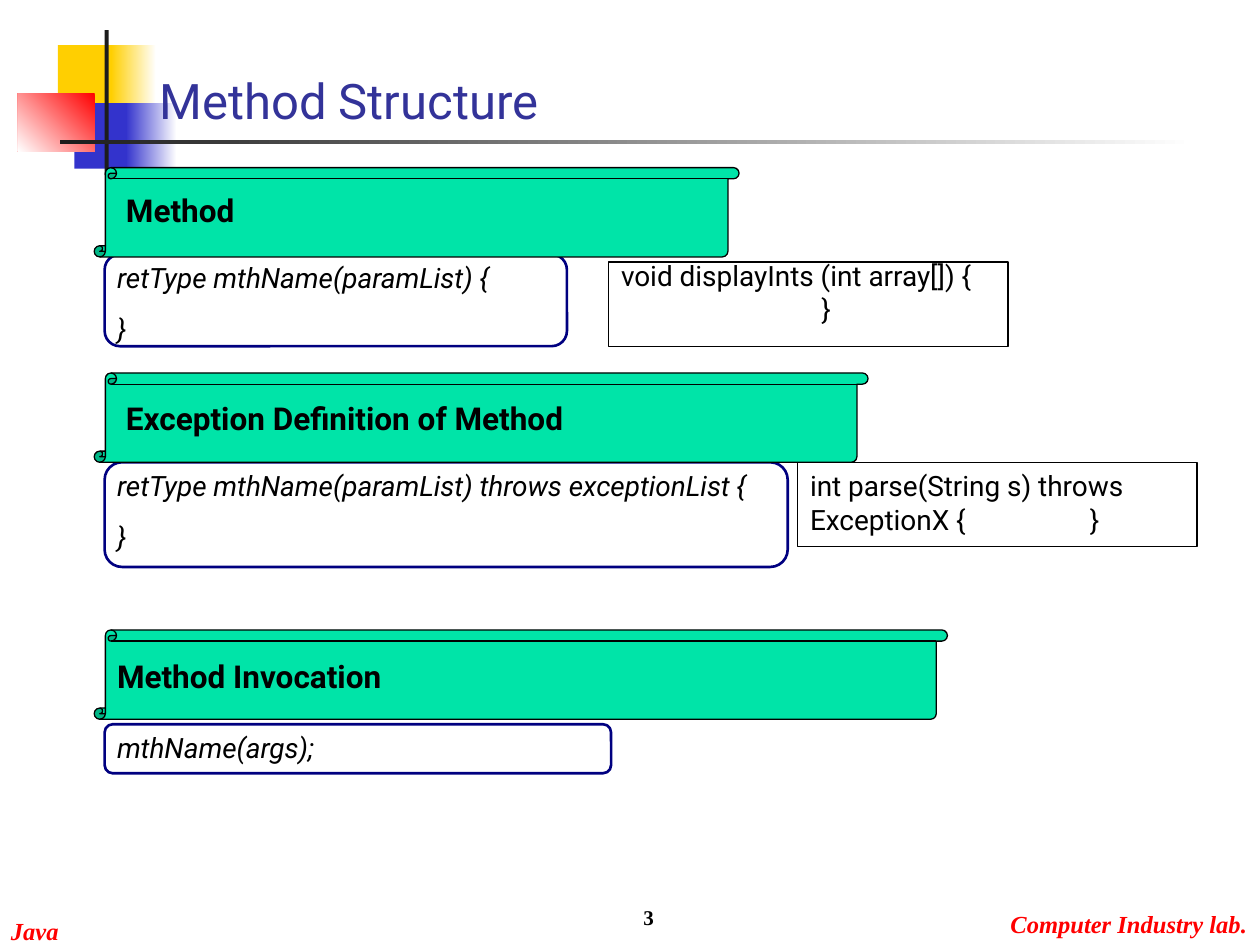
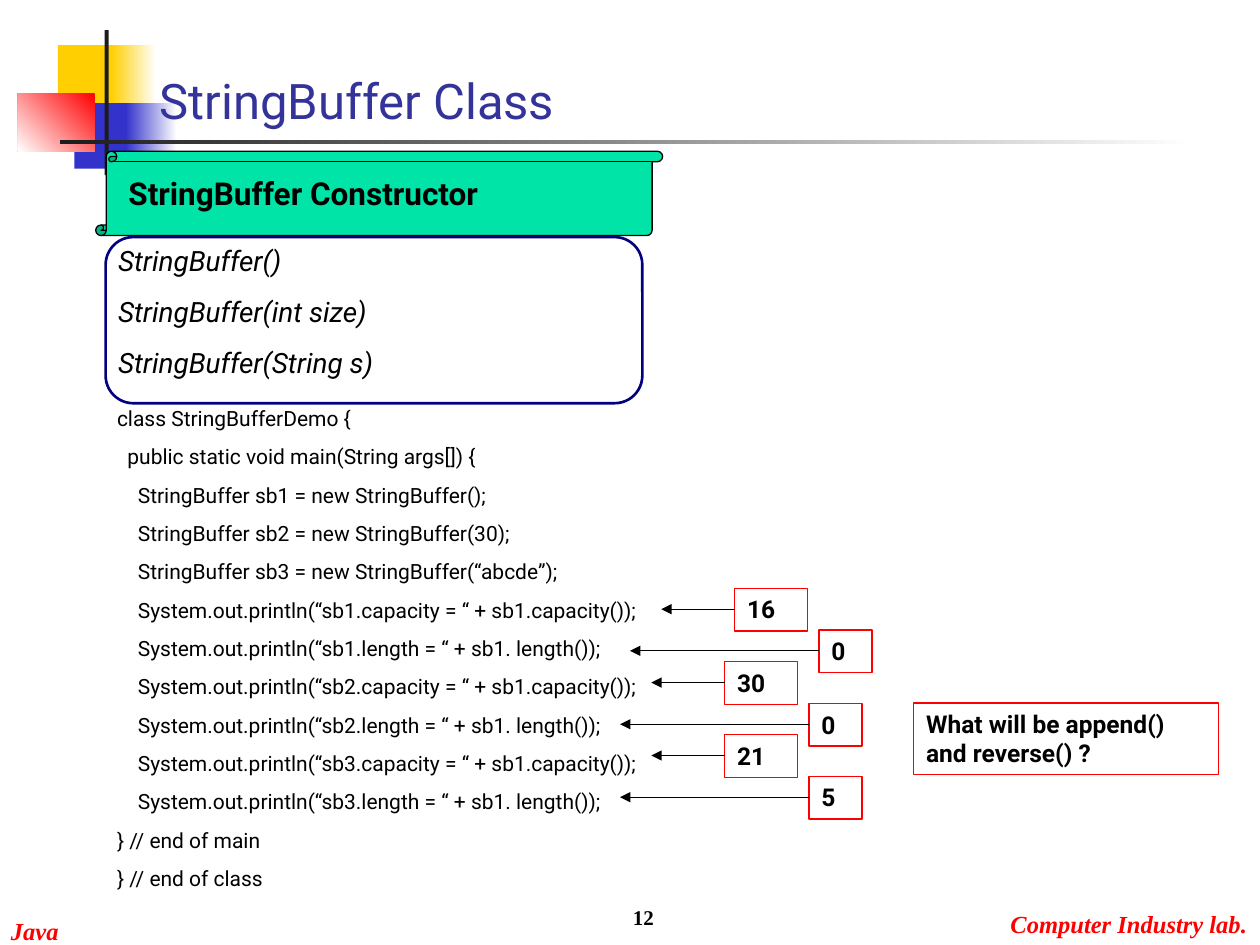
from dataclasses import dataclass

from lxml import etree
from pptx import Presentation
from pptx.dml.color import RGBColor
from pptx.enum.shapes import MSO_CONNECTOR as Connector, MSO_SHAPE as Shape
from pptx.enum.text import MSO_ANCHOR as Anchor, PP_ALIGN as Align
from pptx.oxml.ns import qn
from pptx.util import Cm, Pt


@dataclass(frozen=True)
class Theme:
    sans: str = "Roboto"
    serif: str = "Times New Roman"
    black: str = "000000"
    white: str = "FFFFFF"
    bar: str = "1C1C1C"
    yellow: str = "FFCF01"
    blue: str = "3333CC"
    red: str = "FF0000"
    navy: str = "000080"
    green: str = "00E4A8"
    title_color: str = "333399"
    title: int = 28
    heading: int = 18
    syntax: int = 16
    answer: int = 14
    listing: int = 12
    footer: int = 14
    page: int = 12


theme = Theme()
color = RGBColor.from_string


def place(slide, at, kind=Shape.RECTANGLE, fill=None, line=None, weight=0.75):
    """Add a shape at (left, top, width, height) in cm; a pair of fills is a gradient."""
    shape = slide.shapes.add_shape(kind, *map(Cm, at))
    shape.shadow.inherit = False
    if fill is None:
        shape.fill.background()
    elif isinstance(fill, tuple):
        shape.fill.gradient()
        for stop, shade in zip(shape.fill.gradient_stops, fill):
            stop.color.rgb = color(shade)
    else:
        shape.fill.solid()
        shape.fill.fore_color.rgb = color(fill)
    if line:
        shape.line.color.rgb = color(line)
        shape.line.width = Pt(weight)
    else:
        shape.line.fill.background()
    return shape


def write(shape, text, size, shade=theme.black, face=theme.sans, bold=False,
          italic=False, align=Align.LEFT, anchor=Anchor.TOP, gap=0, tab=None, wrap=True):
    """Fill a shape with text; gap is in points between paragraphs, tab a stop in cm."""
    frame = shape.text_frame
    frame.text = text
    frame.word_wrap = wrap
    frame.vertical_anchor = anchor
    for index, paragraph in enumerate(frame.paragraphs):
        paragraph.alignment = align
        paragraph.space_before = Pt(gap if index else 0)
        if tab:
            stops = etree.SubElement(paragraph._p.get_or_add_pPr(), qn("a:tabLst"))
            etree.SubElement(stops, qn("a:tab"), pos=str(Cm(tab)), algn="l")
        for run in paragraph.runs:
            run.font.name = face
            run.font.size = Pt(size)
            run.font.bold = bold
            run.font.italic = italic
            run.font.color.rgb = color(shade)


deck = Presentation()
deck.slide_width, deck.slide_height = Cm(25.4), Cm(19.05)

# Title, corner ornament and footers on every slide
ornament = [
    ((1.17, 0.91, 1.22, 1.32), theme.yellow, 0),
    ((2.24, 0.91, 0.91, 1.32), (theme.white, theme.yellow), 180),
    ((1.5, 2.08, 1.17, 1.32), theme.blue, 0),
    ((2.54, 2.08, 1.02, 1.32), (theme.white, theme.blue), 180),
    ((0.36, 1.88, 1.55, 1.17), (theme.red, theme.white), 225),
    ((2.11, 0.61, 0.08, 2.92), theme.bar, 0),
    ((1.22, 2.82, 22.86, 0.08), (theme.white, theme.bar), 180),
]
footers = [
    ("Java", (-0.03, 18.34, 1.47, 0.86)),
    ("Computer Industry lab.", (20.12, 18.21, 5.28, 0.86)),
]
slides = []
for title, page in [("Method Structure", "3"), ("StringBuffer Class", "12")]:
    slide = deck.slides.add_slide(deck.slide_layouts[6])
    slides.append(slide)
    for at, fill, angle in ornament:
        piece = place(slide, at, fill=fill)
        if angle:
            piece.fill.gradient_angle = angle
    for label, at in footers:
        write(slide.shapes.add_textbox(*map(Cm, at)), label, theme.footer, theme.red,
              theme.serif, bold=True, italic=True, wrap=False)
    write(slide.shapes.add_textbox(Cm(2.97), Cm(1.27), Cm(20.52), Cm(1.47)),
          title, theme.title, theme.title_color, anchor=Anchor.BOTTOM)
    write(slide.shapes.add_textbox(Cm(8.15), Cm(17.6), Cm(5.28), Cm(1.27)),
          page, theme.page, face=theme.serif, bold=True, align=Align.RIGHT,
          anchor=Anchor.BOTTOM)
method_slide, buffer_slide = slides

# Green scroll headings, each above a framed syntax summary
sections = [
    (method_slide, "Method", (1.9, 3.38, 13, 1.8), (2.29, 3.73),
     "retType mthName(paramList) {\n}", (2.11, 5.13, 9.32, 1.85)),
    (method_slide, "Exception Definition of Method", (1.9, 7.52, 15.6, 1.8), (2.29, 7.92),
     "retType mthName(paramList) throws exceptionList {\n}", (2.11, 9.32, 13.77, 2.11)),
    (method_slide, "Method Invocation", (1.9, 12.7, 17.2, 1.8), (2.11, 13.13),
     "mthName(args);", (2.11, 14.6, 10.21, 0.99)),
    (buffer_slide, "StringBuffer Constructor", (1.93, 3.05, 11.43, 1.7), (2.34, 3.38),
     "StringBuffer()\nStringBuffer(int size)\nStringBuffer(String s)",
     (2.13, 4.78, 10.82, 3.35)),
]
for slide, heading, scroll, heading_at, syntax, outline in sections:
    place(slide, outline, Shape.ROUNDED_RECTANGLE, line=theme.navy, weight=1.5)
    left, top, width, height = outline
    write(slide.shapes.add_textbox(Cm(left), Cm(top), Cm(width + 0.23), Cm(height)),
          syntax, theme.syntax, italic=True, gap=10)
    place(slide, scroll, Shape.VERTICAL_SCROLL, theme.green, theme.black)
    write(slide.shapes.add_textbox(*map(Cm, heading_at), Cm(scroll[2] - 0.6), Cm(1.02)),
          heading, theme.heading, bold=True)

# Examples beside the first two syntax frames
examples = [
    ("void displayInts (int array[]) {\n\t}", 12.27, 5.08, 5.28, 4.04),
    ("int parse(String s) throws ExceptionX {\t}", 16.08, 9.32, 9.32, 5.64),
]
for example, left, text_top, box_top, brace_at in examples:
    write(method_slide.shapes.add_textbox(Cm(left), Cm(text_top), Cm(8), Cm(1.63)),
          example, theme.syntax, tab=brace_at)
    place(method_slide, (left, box_top, 8.05, 1.7), line=theme.black)

# Demo program
demo = """class StringBufferDemo {
  public static void main(String args[]) {
    StringBuffer sb1 = new StringBuffer();
    StringBuffer sb2 = new StringBuffer(30);
    StringBuffer sb3 = new StringBuffer(“abcde”);
    System.out.println(“sb1.capacity = “ + sb1.capacity());
    System.out.println(“sb1.length = “ + sb1. length());
    System.out.println(“sb2.capacity = “ + sb1.capacity());
    System.out.println(“sb2.length = “ + sb1. length());
    System.out.println(“sb3.capacity = “ + sb1.capacity());
    System.out.println(“sb3.length = “ + sb1. length());
} // end of main
} // end of class"""
write(buffer_slide.shapes.add_textbox(Cm(2.11), Cm(8.05), Cm(19.89), Cm(10.03)),
      demo, theme.listing, gap=7.5)

# Printed results: the length sits right of and below its capacity
results = [(14.81, 11.86, "16", "0"), (14.61, 13.34, "30", "0"), (14.61, 14.81, "21", "5")]
for left, top, capacity, length in results:
    for value, x, y, width, reach in [(capacity, left, top, 1.47, 1.48),
                                      (length, left + 1.7, top + 0.84, 1.07, 3.81)]:
        write(place(buffer_slide, (x, y, width, 0.86), line=theme.red),
              value, theme.answer, bold=True)
        arrow = buffer_slide.shapes.add_connector(
            Connector.STRAIGHT, Cm(x), Cm(y + 0.42), Cm(x - reach), Cm(y + 0.42))
        arrow.line.color.rgb = color(theme.black)
        arrow.line.width = Pt(0.75)
        etree.SubElement(arrow.line._get_or_add_ln(), qn("a:tailEnd"), type="triangle")
        etree.SubElement(arrow._element.spPr, qn("a:effectLst"))

write(place(buffer_slide, (18.42, 14.17, 6.15, 1.45), line=theme.red),
      "What will be append() and reverse() ?", theme.answer, bold=True)

deck.save("out.pptx")
